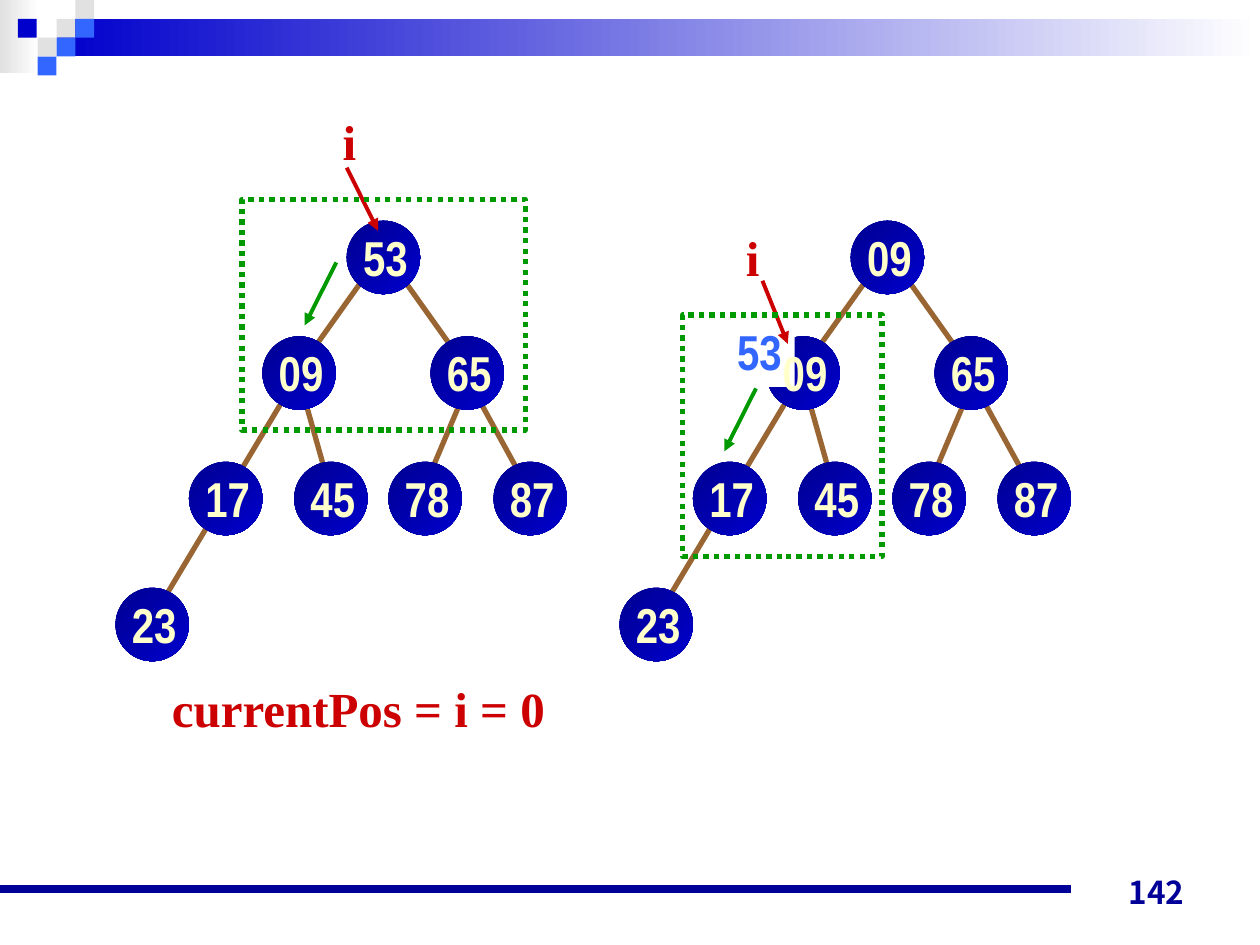
from lxml import etree
from pptx import Presentation
from pptx import util as u
from pptx.dml.color import RGBColor
from pptx.enum import dml, shapes, text
from pptx.oxml import ns

WHITE = RGBColor(0xFF, 0xFF, 0xFF)
GREY = RGBColor(0xE1, 0xE1, 0xE1)
BLUE = RGBColor(0x00, 0x00, 0xCC)
SKY = RGBColor(0x33, 0x66, 0xFF)
DEEP_BLUE = RGBColor(0x00, 0x00, 0x92)
NAVY = RGBColor(0x00, 0x00, 0x99)
RED = RGBColor(0xCC, 0x00, 0x00)
GREEN = RGBColor(0x00, 0x99, 0x00)
BROWN = RGBColor(0x99, 0x66, 0x33)
CREAM = RGBColor(0xFF, 0xFF, 0xCC)

SERIF = "Times New Roman"
NARROW = "Arial Narrow"
NODE = 1.48
TREE_GAP = 10.16
TILE = 0.38

TILES = [
    (1.14, 1, GREY), (1.52, 0, GREY), (1.52, 1, SKY), (0.76, 2, GREY),
    (0.36, 1, BLUE), (1.14, 2, SKY), (0.76, 3, SKY),
]
EDGES = [
    (9.53, 7.83, 10.58, 9.74), (9.31, 8.04, 8.68, 9.53), (8.04, 5.5, 9.1, 6.99),
    (6.14, 8.04, 6.56, 9.53), (7.41, 5.5, 6.35, 6.99), (5.72, 8.04, 3.18, 12.28),
]
NODES = [
    (6.99, 4.45), (5.29, 6.78), (8.68, 6.78), (3.81, 9.31),
    (5.93, 9.31), (7.83, 9.31), (9.95, 9.31), (2.33, 11.85),
]
KEYS_BEFORE = ["53", "09", "65", "17", "45", "78", "87", "23"]
KEYS_AFTER = ["09", *KEYS_BEFORE[1:]]


class HeapSlide:
    """Draws the parts of a heap diagram on one slide."""

    def __init__(self, slide):
        self.shapes = slide.shapes

    def shape(self, kind, left, top, width, height):
        part = self.shapes.add_shape(kind, *map(u.Cm, (left, top, width, height)))
        part.shadow.inherit = False
        part.line.fill.background()
        return part

    def tile(self, left, top, size, color):
        part = self.shape(shapes.MSO_SHAPE.RECTANGLE, left, top, size, size)
        part.fill.solid()
        part.fill.fore_color.rgb = color

    def gradient(self, kind, left, top, width, height, start, end, angle=0):
        part = self.shape(kind, left, top, width, height)
        part.fill.gradient()
        part.fill.gradient_angle = angle
        for stop, color in zip(part.fill.gradient_stops, (start, end)):
            stop.color.rgb = color
        part.fill.gradient_stops[0].position = 0
        part.fill.gradient_stops[1].position = 1

    def node(self, left, top):
        self.gradient(shapes.MSO_SHAPE.OVAL, left, top, NODE, NODE, DEEP_BLUE, BLUE, 315)

    def frame(self, left, top, width, height):
        part = self.shape(shapes.MSO_SHAPE.RECTANGLE, left, top, width, height)
        part.fill.background()
        part.line.color.rgb = GREEN
        part.line.width = u.Pt(3)
        part.line.dash_style = dml.MSO_LINE.ROUND_DOT

    def line(self, ends, color, width, arrow=False):
        link = self.shapes.add_connector(shapes.MSO_CONNECTOR.STRAIGHT, *map(u.Cm, ends))
        link.line.color.rgb = color
        link.line.width = u.Pt(width)
        if arrow:
            etree.SubElement(link.line._ln, ns.qn("a:tailEnd"), type="triangle")
        etree.SubElement(link._element.spPr, ns.qn("a:effectLst"))

    def label(self, words, left, top, width, color, font=NARROW, height=1.45, size=28,
              anchor=text.MSO_ANCHOR.MIDDLE, align=text.PP_ALIGN.CENTER, wrap=False):
        box = self.shapes.add_textbox(*map(u.Cm, (left, top, width, height)))
        frame = box.text_frame
        frame.word_wrap = wrap
        frame.vertical_anchor = anchor
        paragraph = frame.paragraphs[0]
        paragraph.text = words
        paragraph.alignment = align
        paragraph.font.name = font
        paragraph.font.size = u.Pt(size)
        paragraph.font.bold = True
        paragraph.font.color.rgb = color
        return box

    def tree(self, shift):
        for x1, y1, x2, y2 in EDGES:
            self.line((x1 + shift, y1, x2 + shift, y2), BROWN, 3)
        for left, top in NODES:
            self.node(left + shift, top)

    def keys(self, numbers, shift):
        for number, (left, top) in zip(numbers, NODES):
            self.label(number, left + shift + 0.07, top, 1.42, CREAM)

    def index(self, left, top, pointer):
        self.line(pointer, RED, 2.25, arrow=True)
        self.label("i", left, top, 0.79, RED, SERIF)


def main():
    deck = Presentation()
    deck.slide_width, deck.slide_height = u.Cm(25.4), u.Cm(19.05)
    heap = HeapSlide(deck.slides.add_slide(deck.slide_layouts[6]))

    bar = shapes.MSO_SHAPE.RECTANGLE
    heap.gradient(bar, 0, 0, 0.79, 1.47, GREY, WHITE)
    heap.gradient(bar, 1.14, TILE, 24.26, 2 * TILE, BLUE, WHITE)
    for left, row, color in TILES:
        heap.tile(left, row * TILE, TILE, color)
    heap.line((0, 17.93, 21.59, 17.93), NAVY, 4.5)
    heap.label("142", 18.21, 17.22, 5.92, NAVY, "Noto Sans CJK JP", 1.27, 18,
               text.MSO_ANCHOR.BOTTOM, text.PP_ALIGN.RIGHT, True)
    heap.label("currentPos = i = 0", 3.2, 13.54, 8.05, RED, SERIF)

    for shift in (0, TREE_GAP):
        heap.tree(shift)
    moving_key = heap.label("53", 14.6, 6.35, 1.42, SKY)
    moving_key.fill.solid()
    moving_key.fill.fore_color.rgb = WHITE
    heap.keys(KEYS_BEFORE, 0)
    heap.keys(KEYS_AFTER, TREE_GAP)

    heap.index(6.65, 2.11, (6.99, 3.38, 7.62, 4.65))
    heap.frame(4.88, 4.02, 5.71, 4.65)
    heap.line((6.78, 5.29, 6.14, 6.56), GREEN, 2.25, arrow=True)
    heap.index(14.78, 4.45, (15.37, 5.66, 15.88, 6.93))
    heap.frame(13.76, 6.35, 4.02, 4.87)
    heap.line((15.24, 7.83, 14.6, 9.1), GREEN, 2.25, arrow=True)
    deck.save("out.pptx")


if __name__ == "__main__":
    main()
